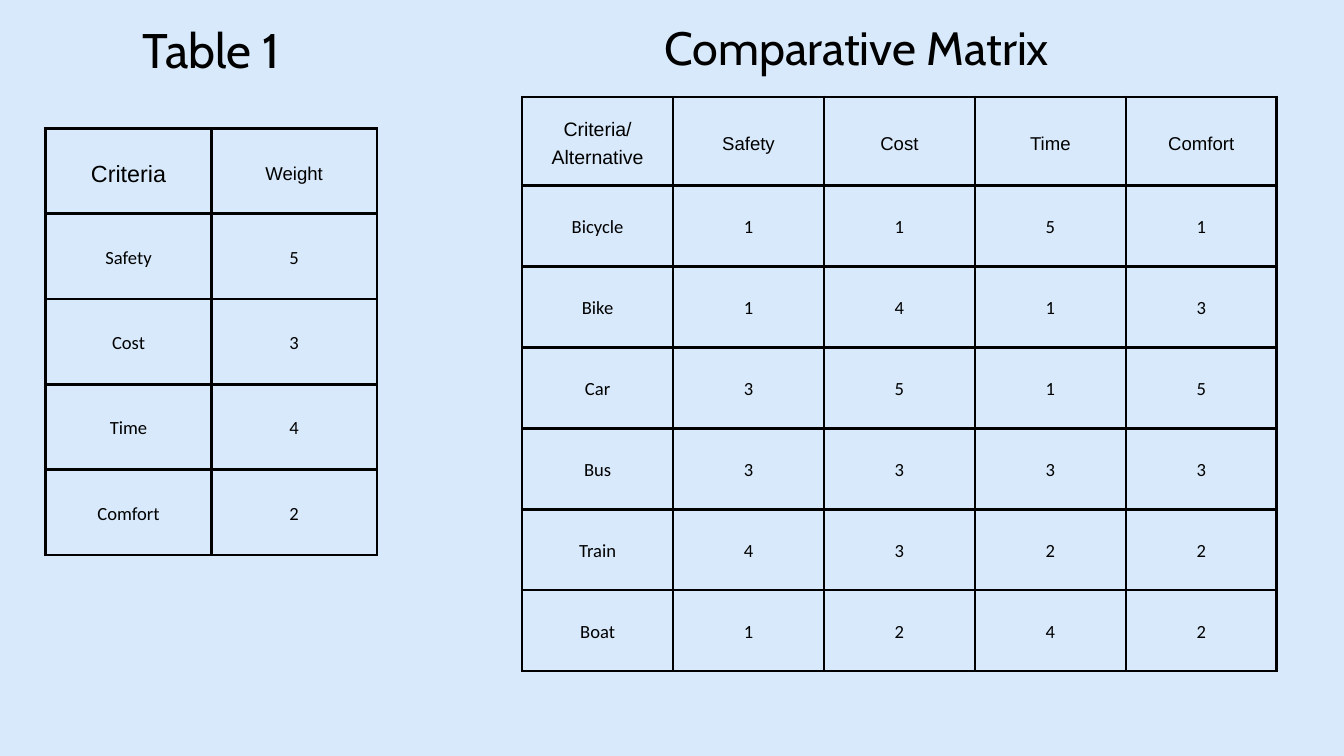
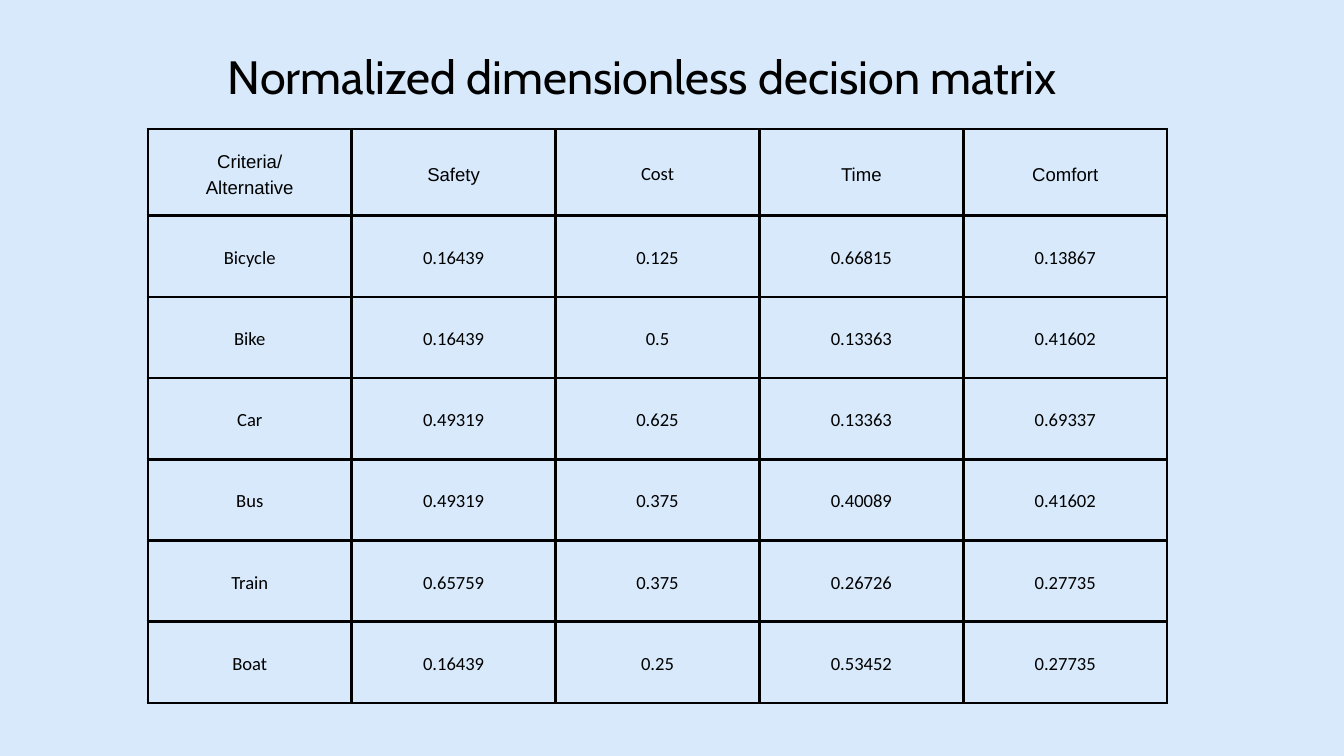
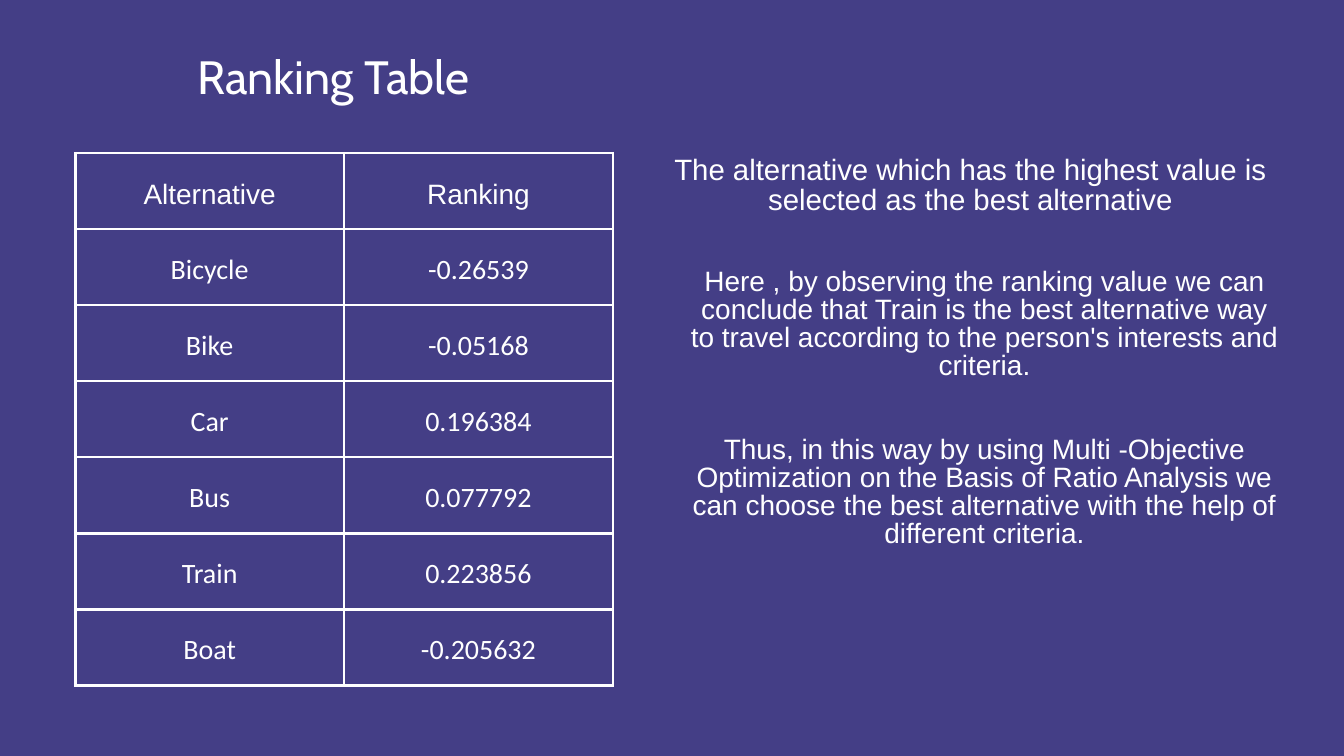
from lxml.etree import SubElement as Sub
from pptx import Presentation
from pptx.dml.color import RGBColor as RGB
from pptx.enum.text import MSO_ANCHOR as Anchor, MSO_AUTO_SIZE as Auto, PP_ALIGN as Align
from pptx.oxml import parse_xml
from pptx.oxml.ns import nsdecls, qn
from pptx.util import Inches, Pt

PALE, DEEP, BLACK, WHITE = "D7E9FA", "443E86", "000000", "FFFFFF"
MODES = ["Bicycle", "Bike", "Car", "Bus", "Train", "Boat"]
GOALS = ["Safety", "Cost", "Time", "Comfort"]
HEAD = ["Criteria/\nAlternative", *GOALS]
WEIGHTS = [5, 3, 4, 2]
SCORES = [
    [1, 1, 5, 1],
    [1, 4, 1, 3],
    [3, 5, 1, 5],
    [3, 3, 3, 3],
    [4, 3, 2, 2],
    [1, 2, 4, 2],
]
NORMED = [
    ["0.16439", "0.125", "0.66815", "0.13867"],
    ["0.16439", "0.5", "0.13363", "0.41602"],
    ["0.49319", "0.625", "0.13363", "0.69337"],
    ["0.49319", "0.375", "0.40089", "0.41602"],
    ["0.65759", "0.375", "0.26726", "0.27735"],
    ["0.16439", "0.25", "0.53452", "0.27735"],
]
RANKS = ["-0.26539", "-0.05168", "0.196384", "0.077792", "0.223856", "-0.205632"]


def tint(hue):
    """Turn a hex string into a colour."""
    return RGB.from_string(hue)


def label(names, rows):
    """Put a name in front of each row of values."""
    return [[name, *row] for name, row in zip(names, rows)]


class Deck:
    """Holds the style and the current slide."""

    def __init__(self):
        """Start an empty wide deck."""
        self.prs = Presentation()
        self.prs.slide_width, self.prs.slide_height = Inches(20), Inches(11.25)

    def page(self, back, ink):
        """Add a slide with its ground and ink colours."""
        self.slide = self.prs.slides.add_slide(self.prs.slide_layouts[6])
        self.ink = ink
        fill = self.slide.background.fill
        fill.solid()
        fill.fore_color.rgb = tint(back)

    def typeset(self, frame, parts, font, size, lead=1.4, gap=0):
        """Set centred paragraphs in a text frame."""
        for i, part in enumerate(parts):
            para = frame.add_paragraph() if i else frame.paragraphs[0]
            para.alignment = Align.CENTER
            para.line_spacing = Pt(size * lead)
            if i and gap:
                para.space_before = Pt(gap)
            run = para.add_run()
            run.text = part
            run.font.name, run.font.size, run.font.bold = font, Pt(size), False
            run.font.color.rgb = tint(self.ink)

    def text(self, box, parts, font, size, lead=1.4, gap=0):
        """Add a text box without margins."""
        frame = self.slide.shapes.add_textbox(*map(Inches, box)).text_frame
        frame.word_wrap = True
        frame.auto_size = Auto.SHAPE_TO_FIT_TEXT
        frame.margin_left = frame.margin_right = frame.margin_top = frame.margin_bottom = 0
        self.typeset(frame, parts, font, size, lead, gap)

    def title(self, box, words, size=50):
        """Add a slide title."""
        self.text(box, [words], "Cabin", size)

    def body(self, box, parts, size, gap=0):
        """Add tightly set body text."""
        self.text(box, parts, "Arial", size, 1, gap)

    def edge(self, cell):
        """Rule all four sides of a cell."""
        props = cell._tc.get_or_add_tcPr()
        for i, side in enumerate("LRTB"):
            line = parse_xml(f'<a:ln{side} {nsdecls("a")} w="{Pt(3)}"/>')
            Sub(Sub(line, qn("a:solidFill")), qn("a:srgbClr"), val=self.ink)
            props.insert(i, line)

    def table(self, box, top, rows, size, odd=None):
        """Add a ruled table with a top row height and odd cell styles."""
        left, y, width, height = box
        count, span = len(rows), len(rows[0])
        grid = self.slide.shapes.add_table(count, span, *map(Inches, box)).table
        grid.first_row = grid.horz_banding = False
        for col in grid.columns:
            col.width = Inches(width / span)
        for r, row in enumerate(rows):
            grid.rows[r].height = Inches((height - top) / (count - 1) if r else top)
            for c, value in enumerate(row):
                cell = grid.cell(r, c)
                cell.fill.background()
                self.edge(cell)
                cell.vertical_anchor = Anchor.MIDDLE
                cell.margin_left = cell.margin_right = Inches(0.21)
                cell.margin_top = cell.margin_bottom = Inches(0.21)
                style = ("Calibri" if r else "Arial", size)
                font, points = (odd or {}).get((r, c), style)
                self.typeset(cell.text_frame, str(value).split("\n"), font, points)


def main():
    """Build and save the deck."""
    deck = Deck()

    deck.page(PALE, BLACK)
    deck.table((7.77, 1.44, 11.23, 8.55), 1.32, [HEAD, *label(MODES, SCORES)], 19.9,
               {(0, 0): ("Arial", 20.9)})
    deck.table((0.68, 1.91, 4.93, 6.35), 1.27,
               [["Criteria", "Weight"], *zip(GOALS, WEIGHTS)], 19.9, {(0, 0): ("Arial", 25)})
    deck.title((1.9, 0.15, 2.48, 0.97), "Table 1", 52)
    deck.title((9.44, 0.14, 6.62, 0.94), "Comparative Matrix")

    deck.page(PALE, BLACK)
    deck.table((2.2, 1.92, 15.17, 8.54), 1.29, [HEAD, *label(MODES, NORMED)], 19.9,
               {(0, 2): ("Calibri", 19.9)})
    deck.title((0.89, 0.58, 17.34, 0.94), "Normalized dimensionless decision matrix")

    deck.page(DEEP, WHITE)
    deck.table((1.12, 2.28, 8, 7.92), 1.13,
               [["Alternative", "Ranking"], *zip(MODES, RANKS)], 30)
    deck.title((2.65, 0.58, 4.63, 0.94), "Ranking Table")
    deck.body((10, 2.34, 8.88, 0.9), [
        "The alternative which has the highest value is selected as the best alternative",
    ], 31.5)
    deck.body((10.21, 4, 8.88, 4.6), [
        "Here , by observing the ranking value we can conclude that Train is the best "
        "alternative way to travel according to the person's interests and criteria.",
        "Thus, in this way by using Multi -Objective Optimization on the Basis of Ratio "
        "Analysis we can choose the best alternative with the help of different criteria.",
    ], 30, 60)

    deck.prs.save("out.pptx")


if __name__ == "__main__":
    main()
